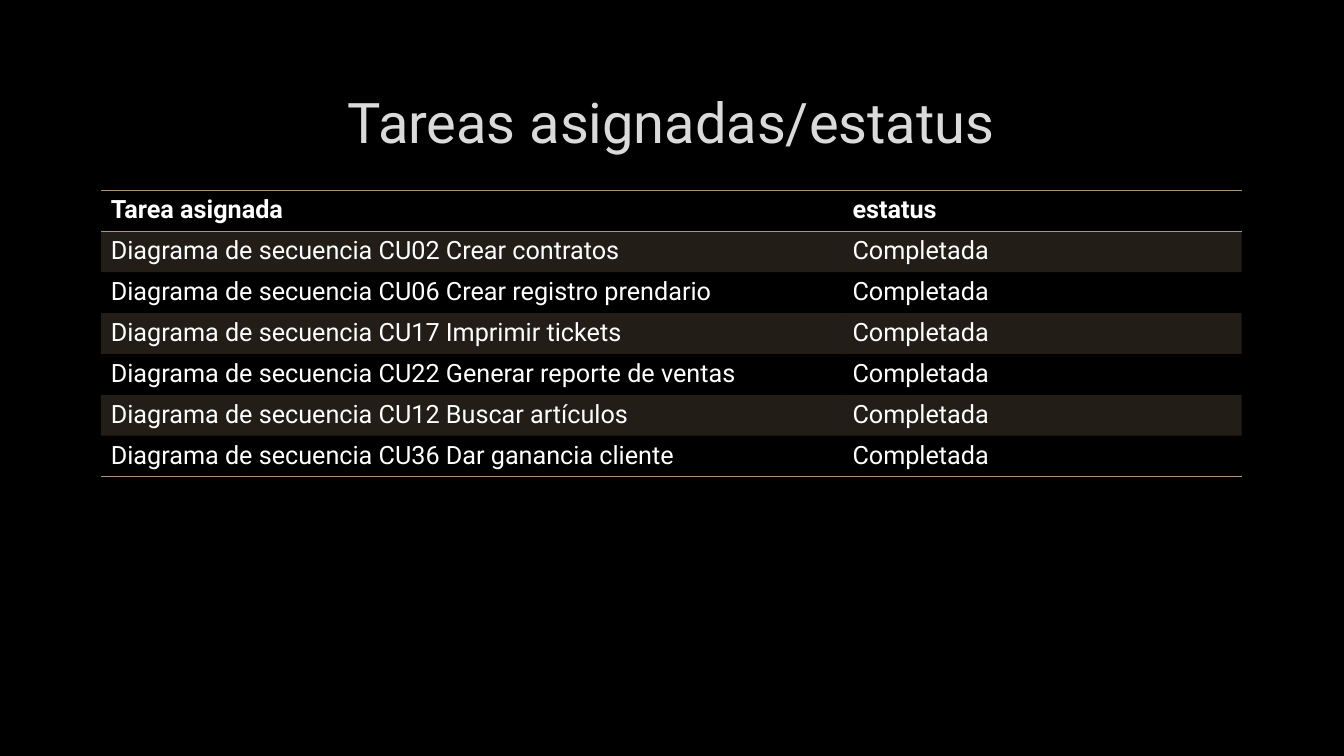
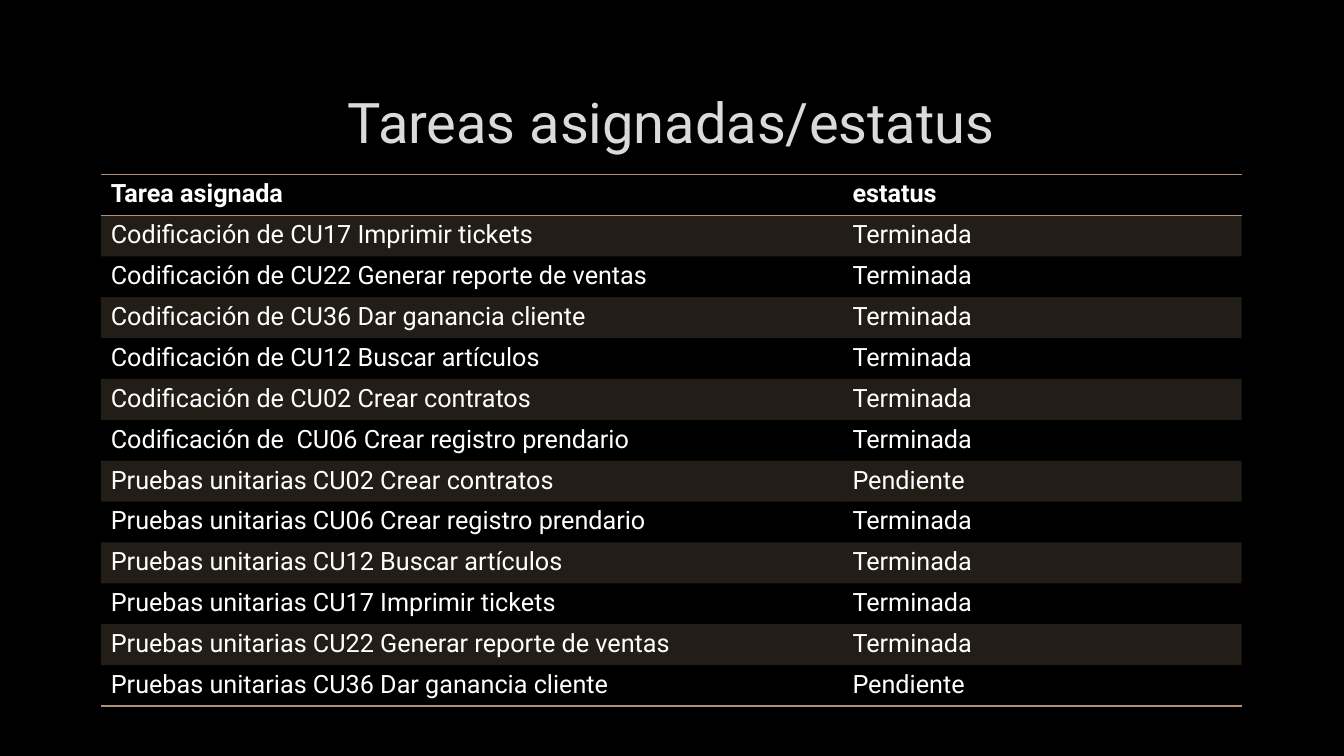
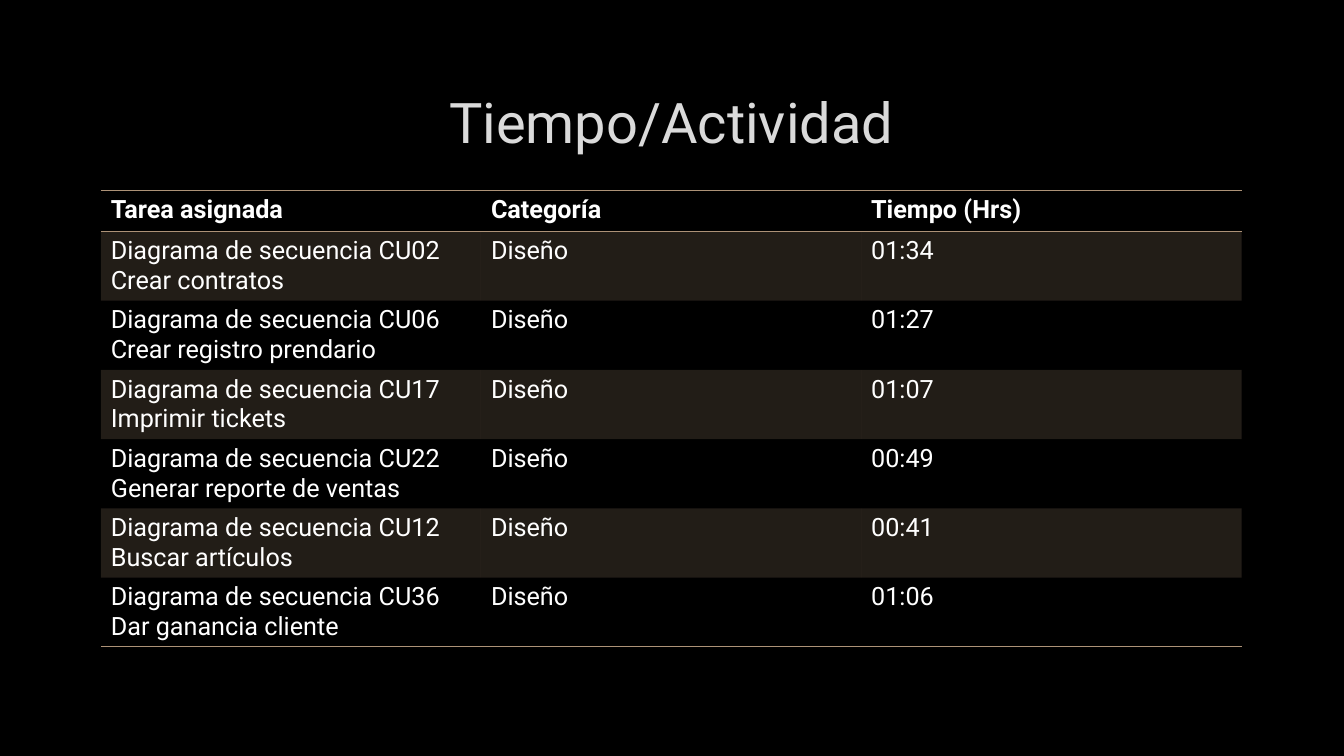
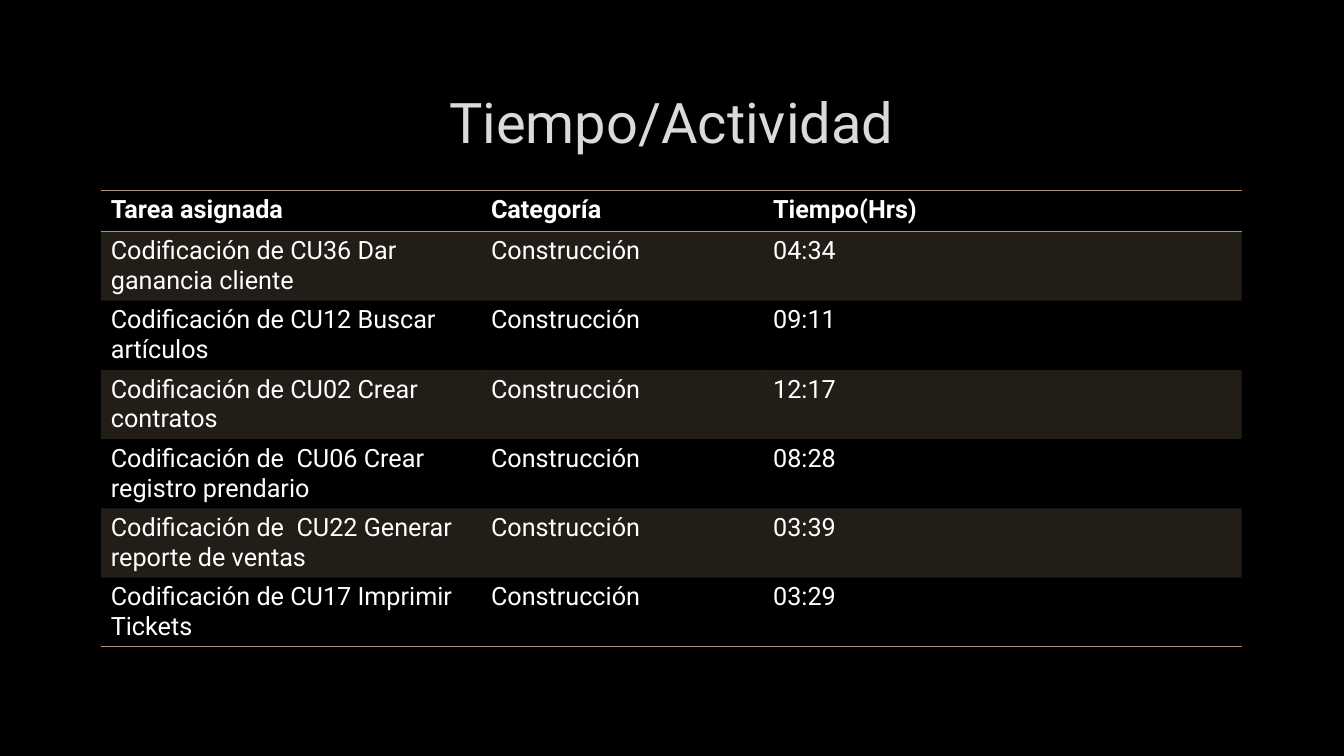
from dataclasses import dataclass

from lxml import etree
from pptx import Presentation
from pptx import util as u
from pptx.dml.color import RGBColor
from pptx.enum import text
from pptx.oxml import ns
from pptx.slide import Slide
from pptx.table import Table, _Cell
from pptx.text.text import _Run

COLORS = {
    "background": "000000",
    "title": "DADADA",
    "outline": "404040",
    "text": "FFFFFF",
    "accent": "AD9277",
}
FONT = "Roboto"
LEFT, WIDTH = u.Cm(2.54), u.Cm(28.75)
TITLE_TOP, TITLE_HEIGHT = u.Cm(1.7), u.Cm(2.69)
ROW_HEIGHT = u.Cm(1.03)
TITLE_ONLY = 5
PLAIN_TABLE_STYLE = "{2D5ABB26-0587-4C30-8999-92F81FD0307C}"


@dataclass(frozen=True)
class TableSlide:
    title: str
    top: float
    columns: tuple[float, ...]
    header: tuple[str, ...]
    rows: tuple[tuple[str, ...], ...]


STATUS_COLUMNS = (18.69, 10.06)
STATUS_HEADER = ("Tarea asignada", "estatus")

SLIDES = (
    TableSlide(
        "Tareas asignadas/estatus", 4.8, STATUS_COLUMNS, STATUS_HEADER,
        tuple((task, "Completada") for task in (
            "Diagrama de secuencia CU02 Crear contratos",
            "Diagrama de secuencia CU06 Crear registro prendario",
            "Diagrama de secuencia CU17 Imprimir tickets",
            "Diagrama de secuencia CU22 Generar reporte de ventas",
            "Diagrama de secuencia CU12 Buscar artículos",
            "Diagrama de secuencia CU36 Dar ganancia cliente",
        )),
    ),
    TableSlide(
        "Tareas asignadas/estatus", 4.4, STATUS_COLUMNS, STATUS_HEADER,
        (
            ("Codificación de CU17 Imprimir tickets", "Terminada"),
            ("Codificación de CU22 Generar reporte de ventas", "Terminada"),
            ("Codificación de CU36 Dar ganancia cliente", "Terminada"),
            ("Codificación de CU12 Buscar artículos", "Terminada"),
            ("Codificación de CU02 Crear contratos", "Terminada"),
            ("Codificación de  CU06 Crear registro prendario", "Terminada"),
            ("Pruebas unitarias CU02 Crear contratos", "Pendiente"),
            ("Pruebas unitarias CU06 Crear registro prendario", "Terminada"),
            ("Pruebas unitarias CU12 Buscar artículos", "Terminada"),
            ("Pruebas unitarias CU17 Imprimir tickets", "Terminada"),
            ("Pruebas unitarias CU22 Generar reporte de ventas", "Terminada"),
            ("Pruebas unitarias CU36 Dar ganancia cliente", "Pendiente"),
        ),
    ),
    TableSlide(
        "Tiempo/Actividad", 4.8, (9.58, 9.58, 9.59),
        ("Tarea asignada", "Categoría", "Tiempo (Hrs)"),
        tuple((task, "Diseño", hours) for task, hours in (
            ("Diagrama de secuencia CU02 Crear contratos", "01:34"),
            ("Diagrama de secuencia CU06 Crear registro prendario", "01:27"),
            ("Diagrama de secuencia CU17 Imprimir tickets", "01:07"),
            ("Diagrama de secuencia CU22 Generar reporte de ventas", "00:49"),
            ("Diagrama de secuencia CU12 Buscar artículos", "00:41"),
            ("Diagrama de secuencia CU36 Dar ganancia cliente", "01:06"),
        )),
    ),
    TableSlide(
        "Tiempo/Actividad", 4.8, (9.58, 7.11, 12.06),
        ("Tarea asignada", "Categoría", "Tiempo(Hrs)"),
        tuple((task, "Construcción", hours) for task, hours in (
            ("Codificación de CU36 Dar ganancia cliente", "04:34"),
            ("Codificación de CU12 Buscar artículos", "09:11"),
            ("Codificación de CU02 Crear contratos", "12:17"),
            ("Codificación de  CU06 Crear registro prendario", "08:28"),
            ("Codificación de  CU22 Generar reporte de ventas", "03:39"),
            ("Codificación de CU17 Imprimir Tickets", "03:29"),
        )),
    ),
)


def color(name: str) -> RGBColor:
    return RGBColor.from_string(COLORS[name])


def style_run(run: _Run, size: float, color_name: str, bold: bool = False) -> None:
    run.font.name = FONT
    run.font.size = u.Pt(size)
    run.font.bold = bold
    run.font.color.rgb = color(color_name)


def make_line(tag: str, width: float, color_name: str) -> etree._Element:
    line = etree.Element(ns.qn(tag), w=str(u.Pt(width)))
    fill = etree.SubElement(line, ns.qn("a:solidFill"))
    etree.SubElement(fill, ns.qn("a:srgbClr"), val=COLORS[color_name])
    return line


def set_alpha(element: etree._Element, percent: int) -> None:
    for rgb in element.iter(ns.qn("a:srgbClr")):
        etree.SubElement(rgb, ns.qn("a:alpha"), val=str(percent * 1000))


def add_title(slide: Slide, title: str) -> None:
    shape = slide.shapes.title
    shape.left, shape.top = LEFT, TITLE_TOP
    shape.width, shape.height = WIDTH, TITLE_HEIGHT
    shape.text_frame.vertical_anchor = text.MSO_ANCHOR.MIDDLE
    paragraph = shape.text_frame.paragraphs[0]
    paragraph.alignment = text.PP_ALIGN.CENTER
    run = paragraph.add_run()
    run.text = title
    style_run(run, 40, "title")
    outline = make_line("a:ln", 0.75, "outline")
    set_alpha(outline, 10)
    run.font._element.insert(0, outline)


def fill_cell(cell: _Cell, content: str, bold: bool, banded: bool, edges: str) -> None:
    run = cell.text_frame.paragraphs[0].add_run()
    run.text = content
    style_run(run, 18, "text", bold)
    properties = cell._tc.get_or_add_tcPr()
    if banded:
        cell.fill.solid()
        cell.fill.fore_color.rgb = color("accent")
        set_alpha(properties, 20)
    else:
        cell.fill.background()
    for position, edge in enumerate(edges):
        properties.insert(position, make_line(f"a:ln{edge}", 1, "accent"))


def clear_table_style(table: Table) -> None:
    table.first_row = False
    table.horz_banding = False
    table._tbl.tblPr.find(ns.qn("a:tableStyleId")).text = PLAIN_TABLE_STYLE


def add_task_table(slide: Slide, content: TableSlide) -> None:
    rows = (content.header, *content.rows)
    last = len(rows) - 1
    table = slide.shapes.add_table(
        len(rows), len(content.columns),
        LEFT, u.Cm(content.top), WIDTH, ROW_HEIGHT * len(rows),
    ).table
    clear_table_style(table)
    for column, width in zip(table.columns, content.columns):
        column.width = u.Cm(width)
    for row_index, values in enumerate(rows):
        table.rows[row_index].height = ROW_HEIGHT
        edges = {0: "TB", last: "B"}.get(row_index, "")
        for column_index, value in enumerate(values):
            fill_cell(
                table.cell(row_index, column_index), value,
                bold=row_index == 0, banded=row_index % 2 == 1, edges=edges,
            )


def main() -> None:
    presentation = Presentation()
    presentation.slide_width = u.Cm(33.87)
    presentation.slide_height = u.Cm(19.05)
    background = presentation.slide_master.background.fill
    background.solid()
    background.fore_color.rgb = color("background")
    for content in SLIDES:
        slide = presentation.slides.add_slide(presentation.slide_layouts[TITLE_ONLY])
        add_title(slide, content.title)
        add_task_table(slide, content)
    presentation.save("out.pptx")


main()
